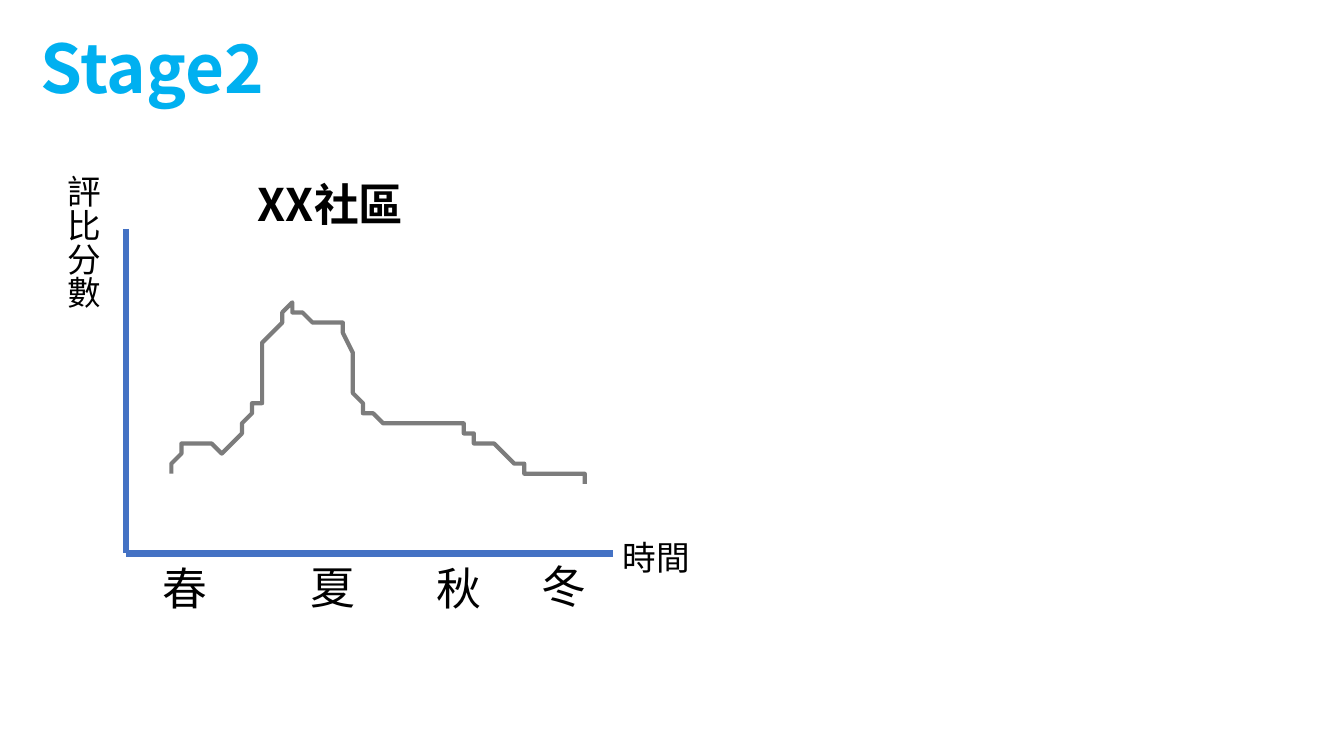
from dataclasses import dataclass

from lxml.etree import SubElement
from pptx import Presentation
from pptx.dml.color import RGBColor
from pptx.enum.shapes import MSO_CONNECTOR as Connector
from pptx.enum.text import MSO_ANCHOR as Anchor, MSO_AUTO_SIZE as AutoSize, PP_ALIGN as Align
from pptx.oxml.ns import qn
from pptx.util import Inches, Pt

CELL = Inches(0.1)  # side of one grid cell
COLUMNS, ROWS = 133.3, 75


@dataclass(frozen=True)
class Theme:
    font: str = "Noto Sans CJK SC"
    title: RGBColor = RGBColor(0x00, 0xB0, 0xF0)
    text: RGBColor = RGBColor(0x00, 0x00, 0x00)
    axis: RGBColor = RGBColor(0x44, 0x72, 0xC4)
    curve: RGBColor = RGBColor(0x7C, 0x7C, 0x7C)
    title_size: int = 48
    heading_size: int = 32
    label_size: int = 24
    axis_width: float = 4.5
    curve_width: float = 3


THEME = Theme()
ORIGIN = (12.5, 54.9)
AXIS_ENDS = [(12.5, 22.7), (60.8, 54.9)]
SEASONS = [("春", 15.1, 55.1), ("夏", 29.8, 55), ("秋", 42.3, 55.1), ("冬", 52.7, 54.9)]
SCORE_CURVE = [
    (16.6, 47.1), (16.7, 46.8), (17.1, 45.9), (17.3, 45.5), (17.5, 45.1), (17.8, 44.6),
    (18, 44.3), (18.3, 44.1), (18.5, 44), (19.2, 43.9), (20.6, 43.9), (21, 44.1),
    (21.4, 44.5), (21.8, 44.8), (22.4, 44.7), (22.8, 44.4), (23.3, 43.7), (24, 42.7),
    (24.5, 42), (25, 41.2), (25.3, 40.5), (25.5, 39.6), (25.6, 34.9), (25.8, 34.2),
    (26.2, 33.5), (26.6, 32.6), (27.5, 31.7), (27.7, 31.3), (28.2, 30.8), (28.7, 30.4),
    (29.3, 30.8), (29.7, 31), (30.2, 31.2), (31.3, 31.5), (33, 31.6), (33.9, 31.7),
    (34.1, 31.8), (34.3, 32.2), (34.5, 33.3), (34.7, 35), (34.9, 37.1), (35, 38.8),
    (35.3, 39.2), (35.7, 40.1), (36, 40.5), (36.5, 40.9), (37.3, 41.3), (38.2, 41.5),
    (38.6, 42), (40.3, 42.1), (41.2, 42.3), (42.5, 42.2), (45.6, 42.2), (46, 42.4),
    (46.4, 42.6), (46.9, 43), (47.3, 43.5), (47.6, 43.7), (48, 43.8), (48.9, 43.6),
    (49.1, 43.9), (49.3, 44.3), (49.7, 44.6), (50.3, 45), (50.8, 45.5), (51.1, 45.7),
    (51.3, 46), (51.5, 46.4), (51.9, 46.5), (52.4, 46.7), (53.4, 46.6), (55.5, 46.7),
    (57.3, 47), (57.6, 47.2), (57.8, 47.5), (58.2, 47.7), (58.4, 48),
]


def cells(*counts):
    return [round(count * CELL) for count in counts]


def set_all(target, values):
    for name, value in values.items():
        setattr(target, name, value)


def write(box, text, size, color=THEME.text, bold=False):
    set_all(box.text_frame, {"word_wrap": True, "auto_size": AutoSize.NONE,
                             "vertical_anchor": Anchor.TOP})
    para = box.text_frame.paragraphs[0]
    para.alignment = Align.LEFT
    span = para.add_run()
    span.text = text
    set_all(span.font, {"name": THEME.font, "size": Pt(size), "bold": bold})
    span.font.color.rgb = color
    SubElement(span.font._element, qn("a:ea")).set("typeface", THEME.font)


def add_title(page, text, *place):
    box = page.shapes.title
    set_all(box, dict(zip(("left", "top", "width", "height"), cells(*place))))
    write(box, text, THEME.title_size, THEME.title, True)


def add_label(page, text, place, size=THEME.label_size, bold=False, vertical=False):
    box = page.shapes.add_textbox(*cells(*place))
    write(box, text, size, bold=bold)
    if vertical:
        box.text_frame._txBody.bodyPr.set("vert", "eaVert")


def add_axis(page, end):
    axis = page.shapes.add_connector(Connector.STRAIGHT, *cells(*end, *ORIGIN))
    axis.line.color.rgb = THEME.axis
    axis.line.width = Pt(THEME.axis_width)
    SubElement(axis._element.spPr, qn("a:effectLst"))


def add_curve(page, points):
    start, *rest = points
    builder = page.shapes.build_freeform(*start, scale=CELL)
    builder.add_line_segments(rest, close=False)
    curve = builder.convert_to_shape()
    curve.shadow.inherit = False
    curve.fill.background()
    curve.line.color.rgb = THEME.curve
    curve.line.width = Pt(THEME.curve_width)


def main():
    deck = Presentation()
    deck.slide_width, deck.slide_height = cells(COLUMNS, ROWS)
    page = deck.slides.add_slide(deck.slide_layouts[5])
    add_title(page, "Stage2", 3, 2.1, 24.3, 9.1)
    for end in AXIS_ENDS:
        add_axis(page, end)
    add_label(page, "評比分數", (4.6, 16.4, 6.1, 26.2), vertical=True)
    add_label(page, "時間", (60.8, 52.8, 10, 5))
    add_curve(page, SCORE_CURVE)
    for season, left, top in SEASONS:
        add_label(page, season, (left, top, 3.9, 6.4), THEME.heading_size)
    add_label(page, "XX社區", (24.6, 17, 17, 6.4), THEME.heading_size, bold=True)
    deck.save("out.pptx")


if __name__ == "__main__":
    main()
